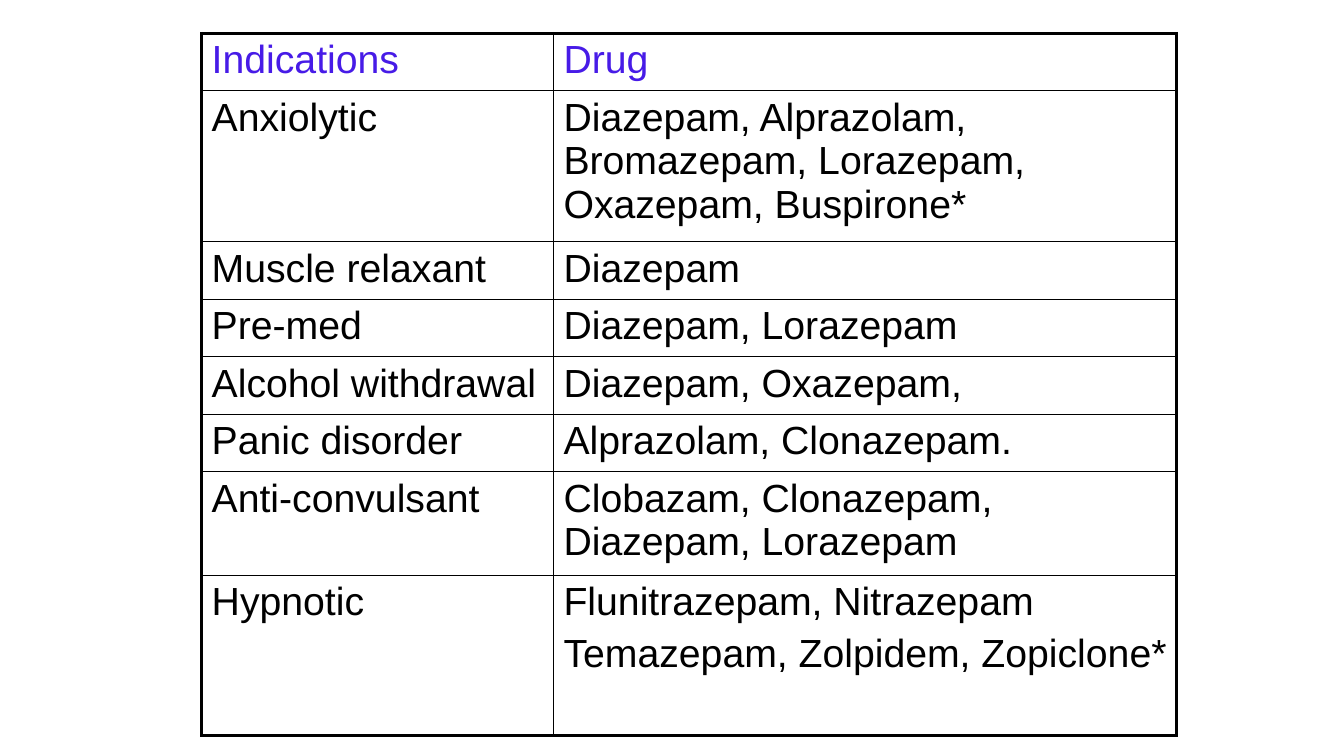
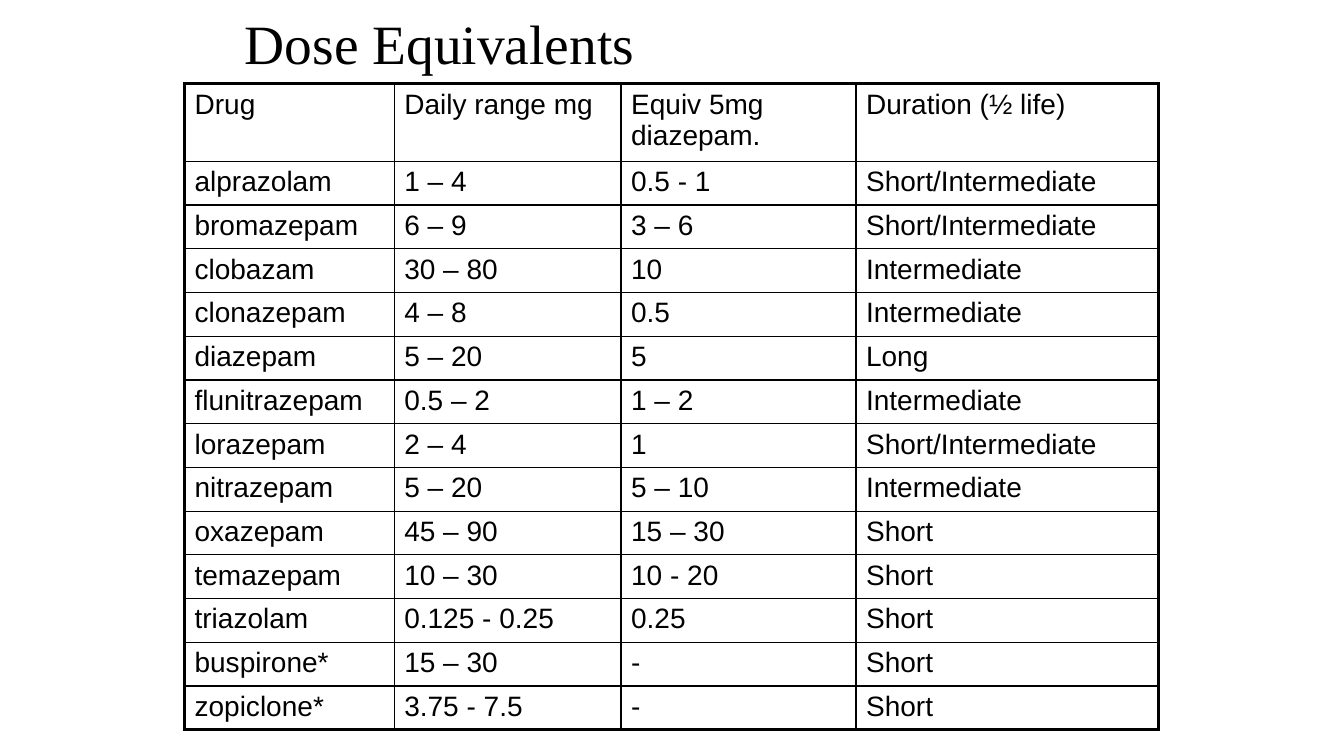
from lxml.etree import SubElement
from pptx import Presentation
from pptx.dml.color import RGBColor
from pptx.enum.text import MSO_ANCHOR, PP_ALIGN
from pptx.oxml.ns import qn
from pptx.util import Inches, Pt

COLORS = {"ink": "000000", "heading": "471BE7"}
BODY_FONT = "Arial"
TITLE_FONT = "Times New Roman"
INNER_LINE = 1
OUTER_LINE = 2.25

INDICATIONS = [
    ("Indications", "Drug"),
    ("Anxiolytic", "Diazepam, Alprazolam, Bromazepam, Lorazepam, Oxazepam, Buspirone*"),
    ("Muscle relaxant", "Diazepam"),
    ("Pre-med", "Diazepam, Lorazepam"),
    ("Alcohol withdrawal", "Diazepam, Oxazepam,"),
    ("Panic disorder", "Alprazolam, Clonazepam."),
    ("Anti-convulsant", "Clobazam, Clonazepam, Diazepam, Lorazepam"),
    ("Hypnotic", "Flunitrazepam, Nitrazepam\nTemazepam, Zolpidem, Zopiclone*"),
]

DOSES = [
    ("Drug", "Daily range mg", "Equiv 5mg diazepam.", "Duration (½ life)"),
    ("alprazolam", "1 – 4", "0.5 - 1", "Short/Intermediate"),
    ("bromazepam", "6 – 9", "3 – 6", "Short/Intermediate"),
    ("clobazam", "30 – 80", "10", "Intermediate"),
    ("clonazepam", "4 – 8", "0.5", "Intermediate"),
    ("diazepam", "5 – 20", "5", "Long"),
    ("flunitrazepam", "0.5 – 2", "1 – 2", "Intermediate"),
    ("lorazepam", "2 – 4", "1", "Short/Intermediate"),
    ("nitrazepam", "5 – 20", "5 – 10", "Intermediate"),
    ("oxazepam", "45 – 90", "15 – 30", "Short"),
    ("temazepam", "10 – 30", "10 - 20", "Short"),
    ("triazolam", "0.125 - 0.25", "0.25", "Short"),
    ("buspirone*", "15 – 30", "-", "Short"),
    ("zopiclone*", "3.75 - 7.5", "-", "Short"),
]


def style_font(font, name, size, color):
    font.name = name
    font.size = Pt(size)
    font.color.rgb = RGBColor.from_string(COLORS[color])


def add_border(cell, side, width):
    line = SubElement(cell._tc.get_or_add_tcPr(), qn(f"a:ln{side}"), w=str(Pt(width)))
    fill = SubElement(line, qn("a:solidFill"))
    SubElement(fill, qn("a:srgbClr"), val=COLORS["ink"])


def fill_cell(cell, text, size, color):
    cell.text_frame.text = text
    cell.margin_left = cell.margin_right = Inches(0.1)
    cell.margin_top = cell.margin_bottom = Inches(0.05)
    for index, paragraph in enumerate(cell.text_frame.paragraphs):
        if index:
            paragraph.space_before = Pt(size * 0.2)
        for span in paragraph.runs:
            style_font(span.font, BODY_FONT, size, color)


def add_grid(page, left, top, widths, heights, rows, size, header_color):
    frame = page.shapes.add_table(
        len(rows), len(widths), Inches(left), Inches(top),
        Inches(sum(widths)), Inches(sum(heights)))
    table = frame.table
    table.first_row = table.horz_banding = False
    for column, width in zip(table.columns, widths):
        column.width = Inches(width)
    for row, height in zip(table.rows, heights):
        row.height = Inches(height)
    last_row, last_column = len(rows) - 1, len(widths) - 1
    for row_index, texts in enumerate(rows):
        for column_index, text in enumerate(texts):
            cell = table.cell(row_index, column_index)
            fill_cell(cell, text, size, "ink" if row_index else header_color)
            outer_sides = {
                "L": column_index == 0,
                "R": column_index == last_column,
                "T": row_index == 0,
                "B": row_index == last_row,
            }
            for side, is_outer in outer_sides.items():
                add_border(cell, side, OUTER_LINE if is_outer else INNER_LINE)
            cell.fill.background()


def add_title(page, text):
    box = page.shapes.add_textbox(Inches(2.33), Inches(0.17), Inches(8.5), Inches(0.58))
    frame = box.text_frame
    frame.word_wrap = True
    frame.vertical_anchor = MSO_ANCHOR.MIDDLE
    frame.text = text
    paragraph = frame.paragraphs[0]
    paragraph.alignment = PP_ALIGN.LEFT
    paragraph.line_spacing = 0.9
    style_font(paragraph.runs[0].font, TITLE_FONT, 39.6, "ink")


def add_page(deck):
    return deck.slides.add_slide(deck.slide_layouts[6])


def main():
    deck = Presentation()
    deck.slide_width = Inches(13.33)
    deck.slide_height = Inches(7.5)

    heights = [0.57, 1.5] + [0.57] * 4 + [1.03, 1.59]
    add_grid(add_page(deck), 2, 0.33, [3.49, 6.18], heights, INDICATIONS, 28, "heading")

    page = add_page(deck)
    add_title(page, "Dose Equivalents")
    heights = [0.77] + [0.433] * (len(DOSES) - 1)
    add_grid(page, 1.83, 0.83, [2.08, 2.25, 2.33, 3], heights, DOSES, 20, "ink")

    deck.save("out.pptx")


if __name__ == "__main__":
    main()
